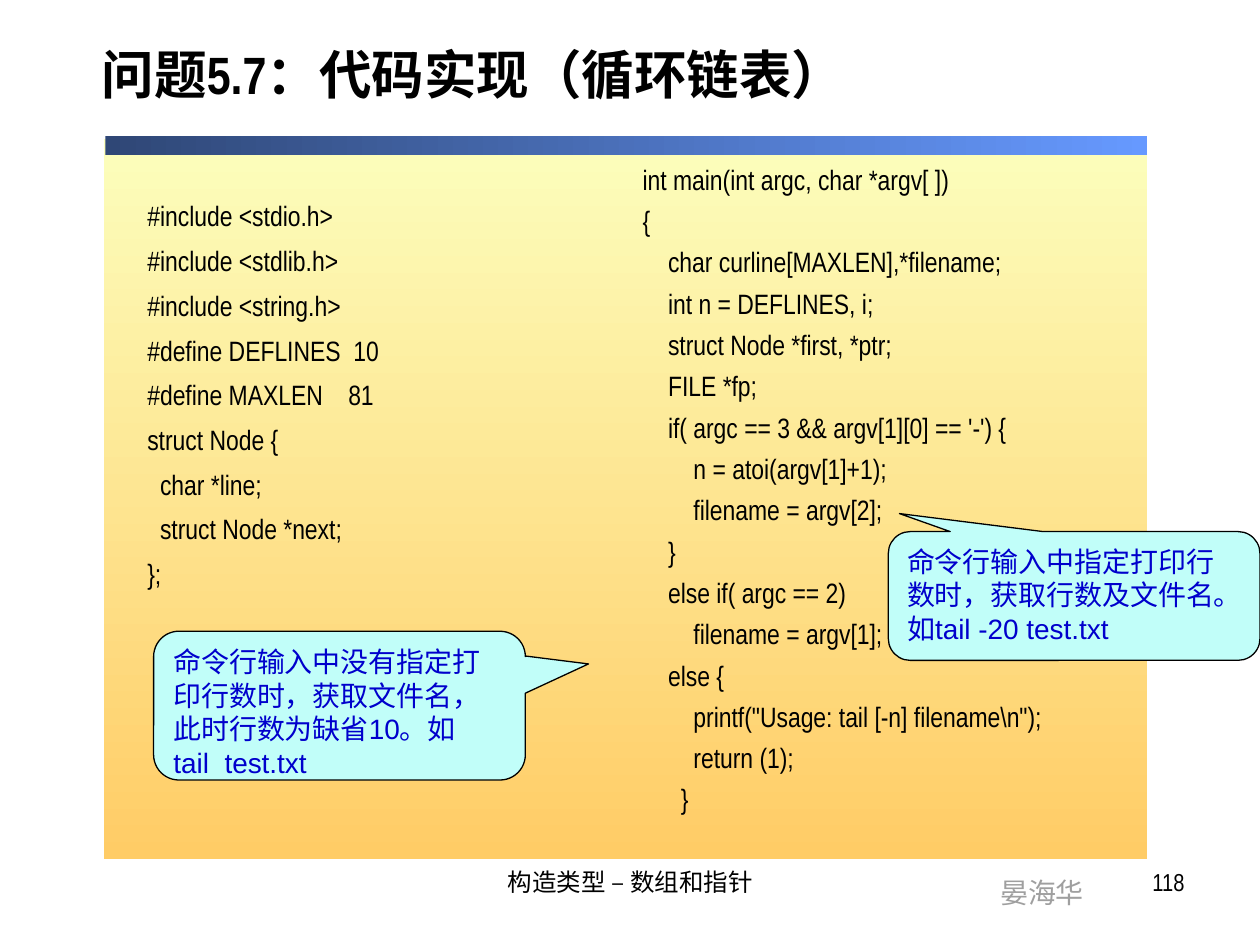
"""Build the slide on reading command-line arguments for a circular linked list."""
from dataclasses import dataclass

from lxml.etree import SubElement
from pptx import Presentation
from pptx.dml.color import RGBColor
from pptx.enum.shapes import MSO_SHAPE
from pptx.enum.text import MSO_ANCHOR, MSO_AUTO_SIZE, PP_ALIGN
from pptx.oxml.ns import qn
from pptx.util import Pt


@dataclass(frozen=True)
class Theme:
    """Colours, fonts and type sizes of the slide."""
    ink: str = "000000"
    author: str = "9F9F9F"
    note_text: str = "0000CC"
    note_fill: str = "C1FEF9"
    panel: tuple = ("FCFEBC", "FFCC66")
    band: tuple = ("2F4776", "6699FF")
    narrow: str = "Arial Narrow"
    plain: str = "Arial"
    title_size: float = 30
    text_size: float = 16
    footer_size: float = 14


@dataclass(frozen=True)
class Box:
    """A rectangle in points."""
    left: float
    top: float
    width: float
    height: float

    def lengths(self) -> tuple:
        """Return the four lengths for python-pptx."""
        return Pt(self.left), Pt(self.top), Pt(self.width), Pt(self.height)


@dataclass(frozen=True)
class Style:
    """The look of a run."""
    font: str
    size: float
    color: str
    bold: bool = False


@dataclass(frozen=True)
class Panel:
    """A background rectangle with a two-colour gradient."""
    box: Box
    colors: tuple
    angle: float


@dataclass(frozen=True)
class Listing:
    """A column of source code."""
    box: Box
    line_spacing: float
    code: str


@dataclass(frozen=True)
class Callout:
    """A speech bubble with its pointer settings."""
    box: Box
    pointer: tuple
    lines: tuple


@dataclass(frozen=True)
class Label:
    """A single line at the foot of the slide."""
    box: Box
    text: str
    style: Style
    align: PP_ALIGN
    wraps: bool = True


THEME = Theme()
TITLE = Style(THEME.narrow, THEME.title_size, THEME.ink, True)
CODE = Style(THEME.narrow, THEME.text_size, THEME.ink)
NOTE = Style(THEME.plain, THEME.text_size, THEME.note_text)
FOOTER = Style(THEME.narrow, THEME.footer_size, THEME.ink)
AUTHOR = Style(THEME.plain, THEME.text_size, THEME.author)

PANELS = (
    Panel(Box(59.5, 79.2, 596, 411.6), THEME.panel, 270),
    Panel(Box(60.2, 77.8, 595.4, 10.8), THEME.band, 0),
)
LISTINGS = (
    Listing(Box(77, 113.8, 255, 358.6), 0.8, """#include <stdio.h>
#include <stdlib.h>
#include <string.h>
#define DEFLINES  10
#define MAXLEN    81
struct Node {
  char *line;
  struct Node *next;
};"""),
    Listing(Box(360, 94.3, 288.7, 388.8), 0.7, r"""int main(int argc, char *argv[ ])
{
    char curline[MAXLEN],*filename;
    int n = DEFLINES, i;
    struct Node *first, *ptr;
    FILE *fp;
    if( argc == 3 && argv[1][0] == '-') {
        n = atoi(argv[1]+1);
        filename = argv[2];
    }
    else if( argc == 2)
        filename = argv[1];
    else {
        printf("Usage: tail [-n] filename\n");
        return (1);
      }"""),
)
CALLOUTS = (
    Callout(Box(507.6, 303.8, 212.4, 73.6), (-0.47, -0.64, 0.17),
            ("命令行输入中指定打印行数时，获取行数及文件名。如tail -20 test.txt",)),
    Callout(Box(87.8, 360.7, 212.4, 85), (0.67, -0.28, 0.17),
            ("命令行输入中没有指定打印行数时，获取文件名，此时行数为缺省10。如", "tail  test.txt")),
)
LABELS = (
    Label(Box(564.5, 496.8, 62.6, 26.6), "晏海华", AUTHOR, PP_ALIGN.LEFT, False),
    Label(Box(246.2, 491.8, 228.2, 37.4), "构造类型 – 数组和指针", FOOTER, PP_ALIGN.CENTER),
    Label(Box(516.2, 491.8, 167.8, 37.4), "118", FOOTER, PP_ALIGN.RIGHT),
)


def place(shape, box: Box) -> None:
    """Move and size a shape."""
    shape.left, shape.top, shape.width, shape.height = box.lengths()


def write(paragraph, text: str, style: Style, align: PP_ALIGN = PP_ALIGN.LEFT) -> None:
    """Add one styled run to a paragraph."""
    paragraph.alignment = align
    run = paragraph.add_run()
    run.text = text
    run.font.name = style.font
    run.font.size = Pt(style.size)
    run.font.bold = style.bold
    run.font.color.rgb = RGBColor.from_string(style.color)


def next_paragraph(frame, index: int):
    """Return the first paragraph, or a new one after it."""
    return frame.add_paragraph() if index else frame.paragraphs[0]


def draw_panel(slide, panel: Panel) -> None:
    """Draw a gradient rectangle behind the placeholders."""
    shape = slide.shapes.add_shape(MSO_SHAPE.RECTANGLE, *panel.box.lengths())
    shape.shadow.inherit = False
    shape.line.fill.background()
    shape.fill.gradient()
    shape.fill.gradient_angle = panel.angle
    for stop, color in zip(shape.fill.gradient_stops, panel.colors):
        stop.color.rgb = RGBColor.from_string(color)
    slide.shapes.title.element.addprevious(shape.element)


def fill_title(title, text: str) -> None:
    """Write the slide title."""
    place(title, Box(51, 12.2, 645, 66.2))
    title.text_frame.auto_size = MSO_AUTO_SIZE.NONE
    title.text_frame.vertical_anchor = MSO_ANCHOR.MIDDLE
    paragraph = title.text_frame.paragraphs[0]
    paragraph.line_spacing = 0.8
    write(paragraph, text, TITLE)


def fill_listing(body, listing: Listing) -> None:
    """Write code lines without bullets into a body placeholder."""
    place(body, listing.box)
    frame = body.text_frame
    frame.auto_size = MSO_AUTO_SIZE.NONE
    for index, line in enumerate(listing.code.split("\n")):
        paragraph = next_paragraph(frame, index)
        properties = paragraph._p.get_or_add_pPr()
        properties.set("marL", str(Pt(22.5)))
        properties.set("indent", str(-Pt(22.5)))
        SubElement(properties, qn("a:buNone"))
        paragraph.line_spacing = listing.line_spacing
        paragraph.space_before = Pt(10.2 if index else 0)
        write(paragraph, line, CODE)


def draw_callout(slide, callout: Callout) -> None:
    """Draw a rounded speech bubble."""
    shape = slide.shapes.add_shape(MSO_SHAPE.ROUNDED_RECTANGULAR_CALLOUT, *callout.box.lengths())
    shape.shadow.inherit = False
    for index, value in enumerate(callout.pointer):
        shape.adjustments[index] = value
    shape.fill.solid()
    shape.fill.fore_color.rgb = RGBColor.from_string(THEME.note_fill)
    shape.line.color.rgb = RGBColor.from_string(THEME.ink)
    shape.line.width = Pt(0.75)
    frame = shape.text_frame
    frame.word_wrap = True
    frame.vertical_anchor = MSO_ANCHOR.TOP
    for index, line in enumerate(callout.lines):
        write(next_paragraph(frame, index), line, NOTE)


def draw_label(slide, label: Label) -> None:
    """Draw one footer text."""
    frame = slide.shapes.add_textbox(*label.box.lengths()).text_frame
    frame.word_wrap = label.wraps
    write(frame.paragraphs[0], label.text, label.style, label.align)


def main() -> None:
    """Build and save the presentation."""
    deck = Presentation()
    deck.slide_width, deck.slide_height = Pt(720), Pt(540)
    slide = deck.slides.add_slide(deck.slide_layouts.get_by_name("Two Content"))
    for panel in PANELS:
        draw_panel(slide, panel)
    fill_title(slide.shapes.title, "问题5.7：代码实现（循环链表）")
    for index, listing in enumerate(LISTINGS, start=1):
        fill_listing(slide.placeholders[index], listing)
    for callout in CALLOUTS:
        draw_callout(slide, callout)
    for label in LABELS:
        draw_label(slide, label)
    deck.save("out.pptx")


if __name__ == "__main__":
    main()
